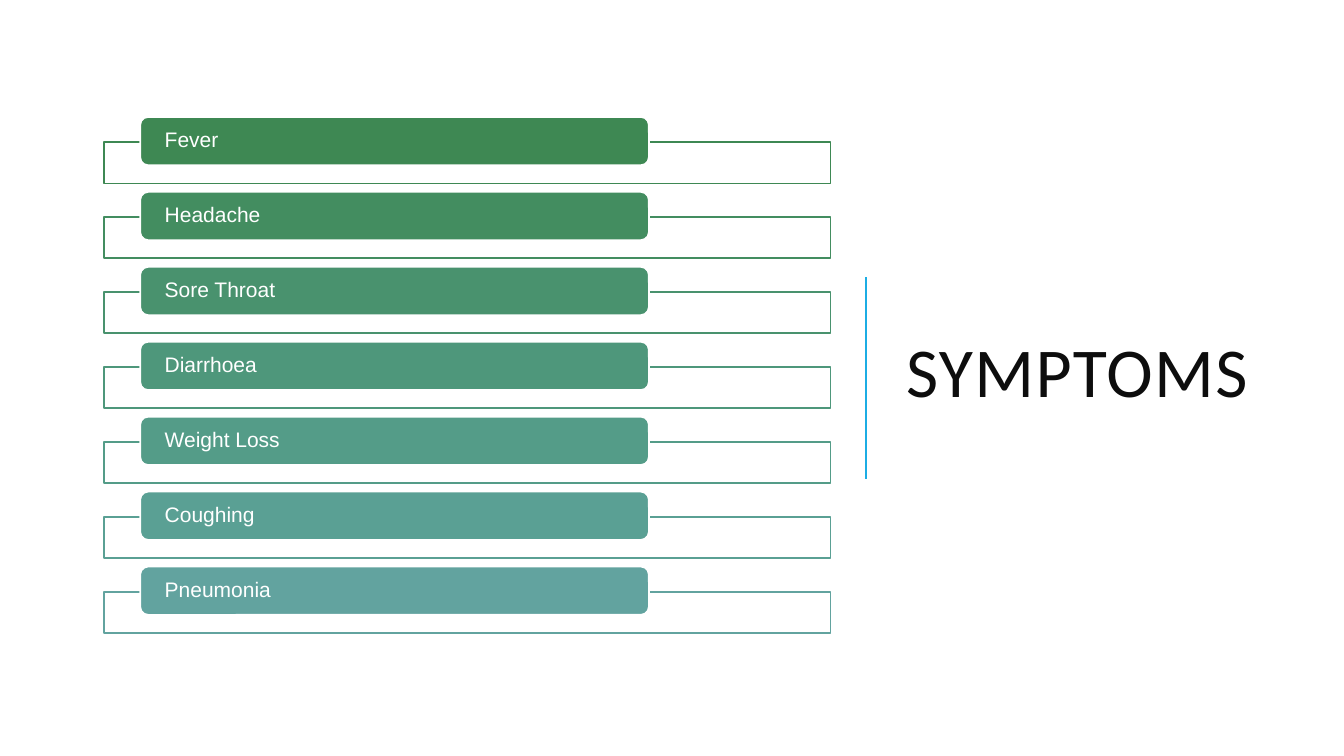
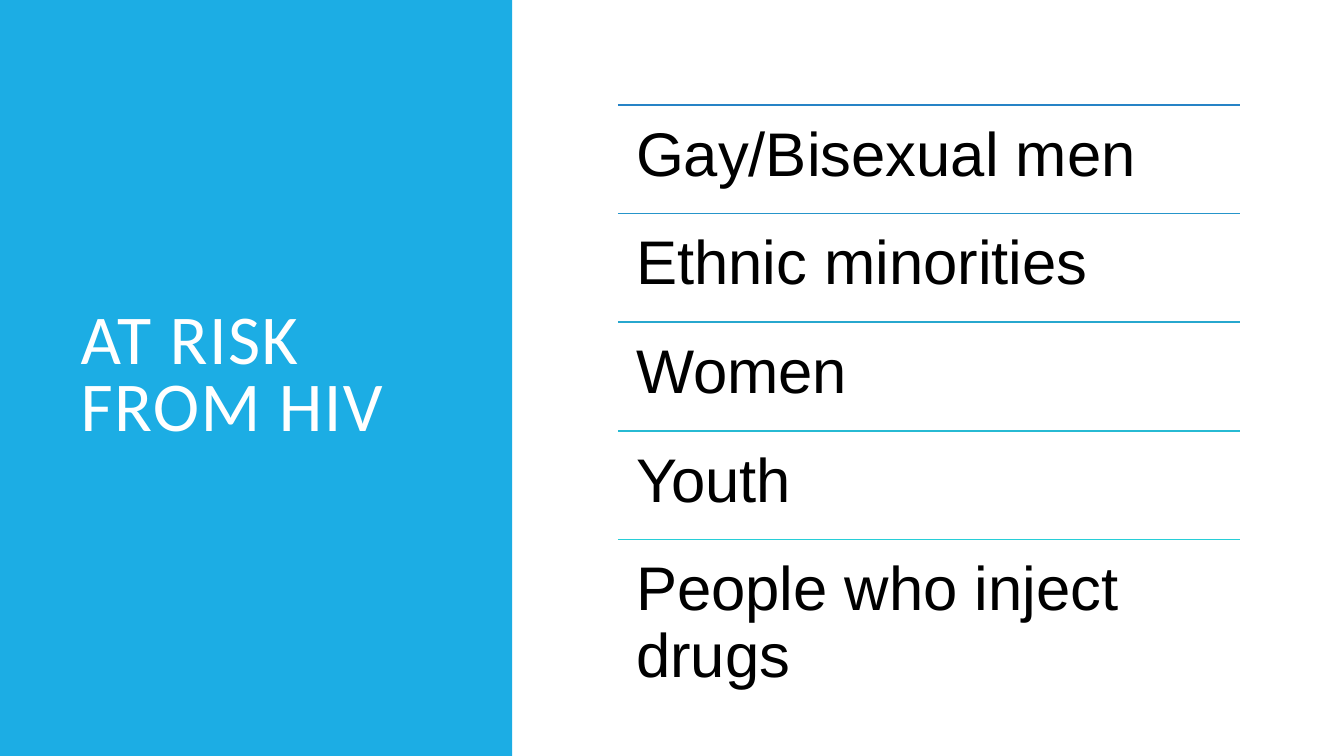
from collections import namedtuple

from lxml.etree import SubElement
from pptx import Presentation
from pptx.dml.color import RGBColor
from pptx.enum.shapes import MSO_CONNECTOR, MSO_SHAPE
from pptx.enum.text import MSO_ANCHOR, MSO_AUTO_SIZE, PP_ALIGN
from pptx.oxml.ns import qn
from pptx.util import Inches, Pt

CELL = Inches(0.1)
COLS, ROWS = 133.33, 75
Box = namedtuple("Box", "x y w h")

WHITE = RGBColor(0xFF, 0xFF, 0xFF)
BLACK = RGBColor(0x00, 0x00, 0x00)
INK = RGBColor(0x0D, 0x0D, 0x0D)
ACCENT = RGBColor(0x1C, 0xAD, 0xE4)
GREENS = [RGBColor.from_string(c) for c in (
    "3E8853", "438D60", "49926E", "4E977B", "549C88", "5AA094", "62A39F")]
BLUES = [RGBColor.from_string(c) for c in (
    "2683C6", "2695CA", "27A7CE", "27BAD3", "27CED7")]

TITLE_FONT, BODY_FONT = "Calibri", "Arial"
RULE = Pt(1.25)

SYMPTOMS = ["Fever", "Headache", "Sore Throat", "Diarrhoea", "Weight Loss",
            "Coughing", "Pneumonia"]
RISK_GROUPS = ["Gay/Bisexual men", "Ethnic minorities", "Women", "Youth",
               "People who inject drugs"]


def cells(*counts):
    """Convert grid cells to slide lengths."""
    return [round(n * CELL) for n in counts]


def add_block(slide, kind, box, fill, line=None):
    """Add a flat preset shape."""
    sp = slide.shapes.add_shape(kind, *cells(*box))
    sp.shadow.inherit = False
    sp.fill.solid()
    sp.fill.fore_color.rgb = fill
    if line is None:
        sp.line.fill.background()
    else:
        sp.line.color.rgb = line
        sp.line.width = RULE
    return sp


def add_rule(slide, start, end, color, width=RULE):
    """Add a straight line without a shadow."""
    line = slide.shapes.add_connector(
        MSO_CONNECTOR.STRAIGHT, *cells(*start, *end))
    line.line.color.rgb = color
    line.line.width = width
    SubElement(line._element.spPr, qn("a:effectLst"))


def write(sp, text, size, color, insets, anchor):
    """Fill a shape with one left-aligned body paragraph."""
    tf = sp.text_frame
    tf.word_wrap = True
    tf.vertical_anchor = anchor
    tf.margin_left, tf.margin_top, tf.margin_right, tf.margin_bottom = cells(*insets)
    p = tf.paragraphs[0]
    p.text = text
    p.alignment = PP_ALIGN.LEFT
    p.line_spacing = 0.9
    p.font.name, p.font.size, p.font.color.rgb = BODY_FONT, Pt(size), color


def add_titled_slide(prs, text, box, color):
    """Add a slide whose title stands in the given box."""
    slide = prs.slides.add_slide(prs.slide_layouts[5])
    title = slide.shapes.title
    title.left, title.top, title.width, title.height = cells(*box)
    tf = title.text_frame
    tf.word_wrap = True
    tf.auto_size = MSO_AUTO_SIZE.NONE
    tf.vertical_anchor = MSO_ANCHOR.MIDDLE
    p = tf.paragraphs[0]
    p.alignment = PP_ALIGN.LEFT
    p.line_spacing = 0.8
    r = p.add_run()
    r.text = text
    r.font.name, r.font.size, r.font.color.rgb = TITLE_FONT, Pt(50), color
    r.font._element.set("spc", "100")
    return slide


def add_tab_list(slide, box, items, colors):
    """Stack framed rows, each with a coloured tab on its top edge."""
    tab_h, frame_drop, frame_h = 4.8, 2.5, 4.1
    pitch = (box.h - frame_drop - frame_h) / (len(items) - 1)
    for i, (text, color) in enumerate(zip(items, colors)):
        y = box.y + i * pitch
        frame = add_block(slide, MSO_SHAPE.RECTANGLE,
                          Box(box.x, y + frame_drop, box.w, frame_h), WHITE, color)
        tint = frame._element.spPr.find(qn("a:solidFill"))[0]
        SubElement(tint, qn("a:alpha"), val="90000")
        tab = add_block(slide, MSO_SHAPE.ROUNDED_RECTANGLE,
                        Box(box.x + box.w * 0.05, y, box.w * 0.7, tab_h),
                        color, WHITE)
        write(tab, text, 15, WHITE, (2.2, 0, 2.2, 0), MSO_ANCHOR.MIDDLE)


def add_ruled_list(slide, box, items, colors):
    """Split the box into equal rows, each under a coloured rule."""
    row_h = box.h / len(items)
    for i, (text, color) in enumerate(zip(items, colors)):
        y = box.y + i * row_h
        add_rule(slide, (box.x, y), (box.x + box.w, y), color)
        sp = slide.shapes.add_textbox(*cells(box.x, y, box.w, row_h))
        write(sp, text, 44, BLACK, (1.8,) * 4, MSO_ANCHOR.TOP)


def symptoms_slide(prs):
    """Build the list of symptoms with its title on the right."""
    slide = add_titled_slide(prs, "SYMPTOMS", Box(88.9, 7, 38, 60.9), INK)
    add_rule(slide, (85.9, 47.5), (85.9, 27.5), ACCENT, Pt(1.5))
    add_tab_list(slide, Box(10.3, 11.6, 72.1, 51.2), SYMPTOMS, GREENS)


def risk_slide(prs):
    """Build the list of groups at risk beside a title panel."""
    slide = add_titled_slide(prs, "AT RISK FROM HIV", Box(7, 7, 37.4, 60.9), WHITE)
    panel = add_block(slide, MSO_SHAPE.RECTANGLE, Box(0, 0, 50.8, ROWS), ACCENT)
    slide.shapes.title._element.addprevious(panel._element)
    add_ruled_list(slide, Box(61.3, 10.4, 61.7, 53.9), RISK_GROUPS, BLUES)


def main():
    """Build and save the presentation."""
    prs = Presentation()
    prs.slide_width, prs.slide_height = cells(COLS, ROWS)
    symptoms_slide(prs)
    risk_slide(prs)
    prs.save("out.pptx")


if __name__ == "__main__":
    main()
